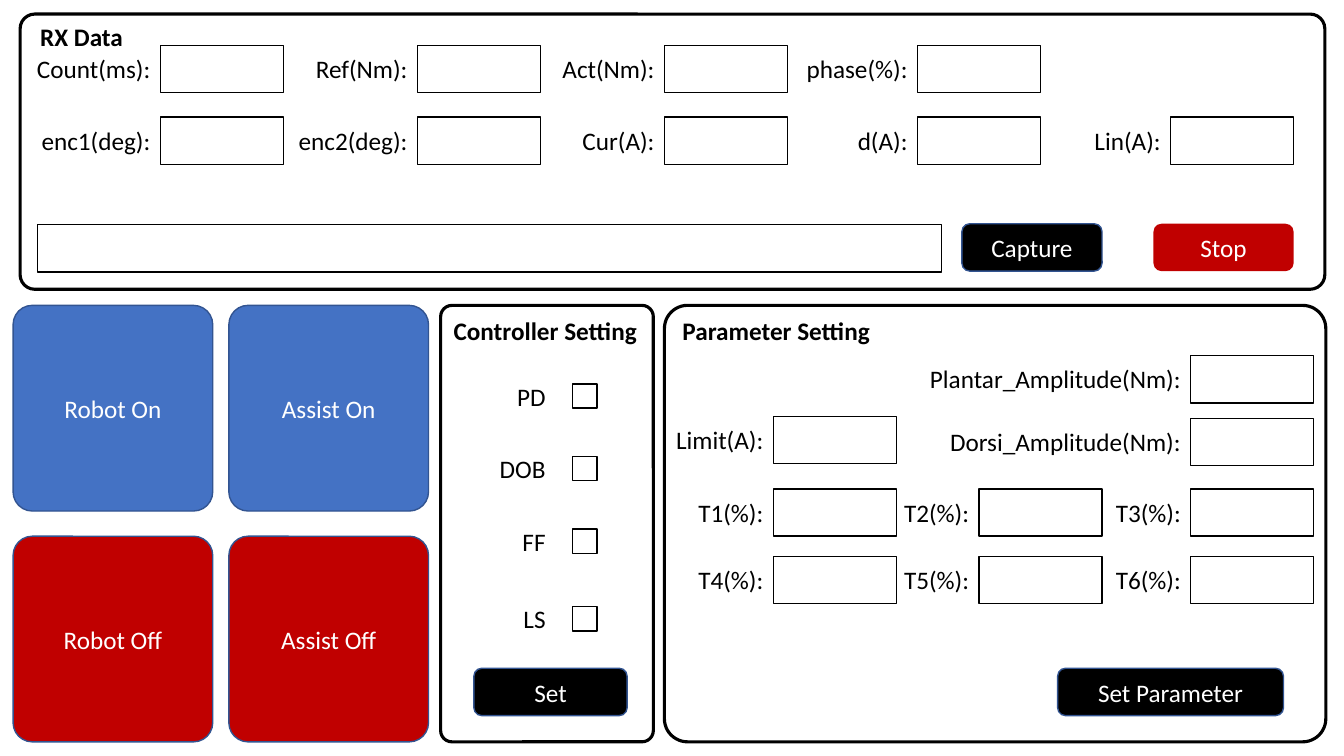
from pptx import Presentation
from pptx import util as u
from pptx.dml import color
from pptx.enum import shapes, text

Inches = u.Inches
BLACK = color.RGBColor(0x00, 0x00, 0x00)
WHITE = color.RGBColor(0xFF, 0xFF, 0xFF)
RED = color.RGBColor(0xC0, 0x00, 0x00)
BLUE = color.RGBColor(0x44, 0x72, 0xC4)
NAVY = color.RGBColor(0x32, 0x54, 0x91)
FIELD_WIDTH, FIELD_HEIGHT = 1.22, 0.47
LABEL_HEIGHT = 0.4
CHECK_SIZE = 0.24


def write(frame, words, ink=BLACK, bold=False, align=text.PP_ALIGN.LEFT,
          anchor=text.MSO_ANCHOR.TOP):
    """Put formatted words into a text frame."""
    frame.word_wrap = True
    frame.vertical_anchor = anchor
    line = frame.paragraphs[0]
    line.alignment = align
    run = line.add_run()
    run.text = words
    run.font.name = "Calibri"
    run.font.size = u.Pt(18)
    run.font.bold = bold
    run.font.color.rgb = ink


def label(slide, words, left, top, width, **style):
    """Add a one-line text box."""
    box = slide.shapes.add_textbox(Inches(left), Inches(top), Inches(width), Inches(LABEL_HEIGHT))
    write(box.text_frame, words, **style)
    box.text_frame.auto_size = text.MSO_AUTO_SIZE.SHAPE_TO_FIT_TEXT


def block(slide, left, top, width, height, fill=WHITE, edge=BLACK, weight=1, corner=0):
    """Add a rectangle, rounded when a corner ratio is given."""
    preset = shapes.MSO_SHAPE.ROUNDED_RECTANGLE if corner else shapes.MSO_SHAPE.RECTANGLE
    outline = slide.shapes.add_shape(preset, Inches(left), Inches(top), Inches(width), Inches(height))
    outline.shadow.inherit = False
    if corner:
        outline.adjustments[0] = corner
    outline.fill.solid()
    outline.fill.fore_color.rgb = fill
    if edge is None:
        outline.line.fill.background()
    else:
        outline.line.color.rgb = edge
        outline.line.width = u.Pt(weight)
    return outline


def button(slide, words, left, top, width, height=0.47, fill=BLACK, edge=NAVY, corner=0.167):
    """Add a rounded button with a centred white caption."""
    key = block(slide, left, top, width, height, fill, edge, corner=corner)
    write(key.text_frame, words, ink=WHITE, align=text.PP_ALIGN.CENTER,
          anchor=text.MSO_ANCHOR.MIDDLE)


def field(slide, words, left, top, label_width):
    """Add an input box with its caption ending at the left edge."""
    block(slide, left, top, FIELD_WIDTH, FIELD_HEIGHT)
    label(slide, words, left - label_width, top + 0.03, label_width, align=text.PP_ALIGN.RIGHT)


def panel(slide, heading, left, top, width, height, indent, drop=0.05):
    """Add a framed region with a bold heading."""
    block(slide, left, top, width, height, weight=2.25, corner=0.053)
    label(slide, heading, left + indent, top + drop, 2.19, bold=True)


def rx_data(slide, left, top, width, height):
    """Build the received data panel."""
    panel(slide, "RX Data", left, top, width, height, indent=0.1, drop=0.02)
    columns = (1.39, 3.94, 6.39, 8.9, 11.41)
    rows = (
        (0.31, ("Count(ms):", "Ref(Nm):", "Act(Nm):", "phase(%):")),
        (1.02, ("enc1(deg):", "enc2(deg):", "Cur(A):", "d(A):", "Lin(A):")),
    )
    for drop, captions in rows:
        for column, caption in zip(columns, captions):
            field(slide, caption, left + column, top + drop, 1.39)
    controls = top + 2.08
    block(slide, left + 0.17, controls + 0.01, 8.97, FIELD_HEIGHT)
    button(slide, "Capture", left + 9.34, controls, 1.39)
    button(slide, "Stop", left + 11.24, controls, 1.39, fill=RED, edge=None)


def power_buttons(slide, left, top, width, height):
    """Build the two-by-two grid of large switches."""
    key_width, key_height = 1.98, 2.04
    rows = ((BLUE, "On"), (RED, "Off"))
    for row, (fill, state) in enumerate(rows):
        for column, target in enumerate(("Robot", "Assist")):
            button(slide, f"{target} {state}",
                   left + column * (width - key_width), top + row * (height - key_height),
                   key_width, key_height, fill, corner=0.096)


def controller_setting(slide, left, top, width, height):
    """Build the panel of controller check boxes."""
    panel(slide, "Controller Setting", left, top, width, height, indent=0.03)
    modes = (("PD", 0.78), ("DOB", 1.5), ("FF", 2.22), ("LS", 2.99))
    for mode, drop in modes:
        block(slide, left + 1.31, top + drop, CHECK_SIZE, CHECK_SIZE)
        label(slide, mode, left + 0.06, top + drop - 0.08, 1.08, align=text.PP_ALIGN.RIGHT)
    button(slide, "Set", left + 0.33, top + 3.6, 1.52)


def parameter_setting(slide, left, top, width, height):
    """Build the panel of gait parameters."""
    panel(slide, "Parameter Setting", left, top, width, height, indent=0.08)
    columns = (1.08, 3.12, 5.22)
    field(slide, "Plantar_Amplitude(Nm):", left + columns[2], top + 0.5, 2.83)
    field(slide, "Dorsi_Amplitude(Nm):", left + columns[2], top + 1.12, 2.6)
    field(slide, "Limit(A):", left + columns[0], top + 1.1, 1.08)
    for row in range(2):
        for index, column in enumerate(columns, start=1):
            field(slide, f"T{3 * row + index}(%):", left + column, top + 1.82 + 0.67 * row, 0.94)
    button(slide, "Set Parameter", left + 3.9, top + 3.6, 2.24)


def main():
    """Build and save the control panel slide."""
    deck = Presentation()
    deck.slide_width, deck.slide_height = Inches(13.33), Inches(7.5)
    slide = deck.slides.add_slide(deck.slide_layouts[6])
    rx_data(slide, 0.2, 0.14, 12.94, 2.73)
    parameter_setting(slide, 6.59, 3.03, 6.56, 4.33)
    power_buttons(slide, 0.13, 3.03, 4.12, 4.33)
    controller_setting(slide, 4.37, 3.03, 2.11, 4.33)
    deck.save("out.pptx")


if __name__ == "__main__":
    main()
